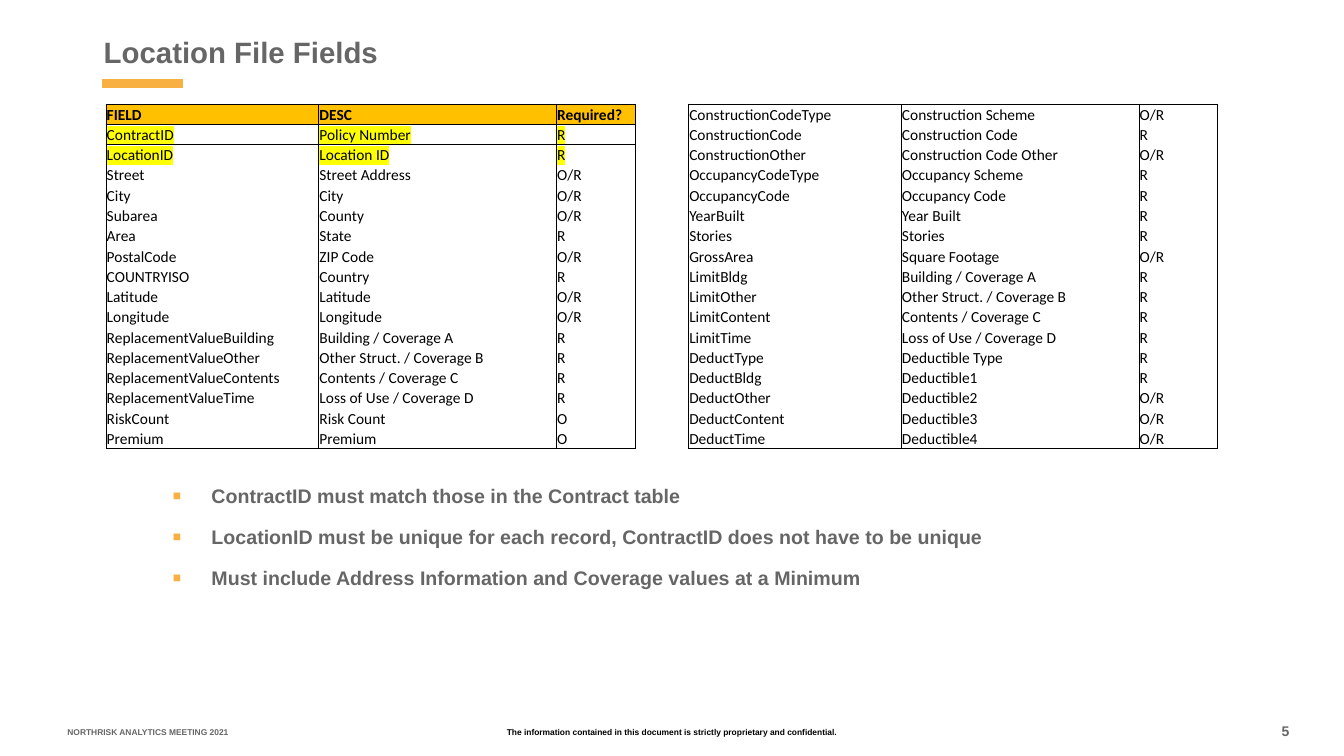
"""Build the slide that lists the location file fields."""
from dataclasses import dataclass

from lxml.etree import SubElement
from pptx import Presentation
from pptx.dml.color import RGBColor as Color
from pptx.enum.shapes import MSO_SHAPE as Shape
from pptx.enum.text import MSO_ANCHOR as Anchor, MSO_AUTO_SIZE as AutoSize, PP_ALIGN as Align
from pptx.oxml import parse_xml
from pptx.oxml.ns import nsdecls, qn
from pptx.util import Cm, Pt

TITLE = "Location File Fields"
HEADER = ("FIELD", "DESC", "Required?")
KEY_FIELDS = ("ContractID", "LocationID")
LOCATION_FIELDS = [
    HEADER,
    ("ContractID", "Policy Number", "R"),
    ("LocationID", "Location ID", "R"),
    ("Street", "Street Address", "O/R"),
    ("City", "City", "O/R"),
    ("Subarea", "County", "O/R"),
    ("Area", "State", "R"),
    ("PostalCode", "ZIP Code", "O/R"),
    ("COUNTRYISO", "Country", "R"),
    ("Latitude", "Latitude", "O/R"),
    ("Longitude", "Longitude", "O/R"),
    ("ReplacementValueBuilding", "Building / Coverage A", "R"),
    ("ReplacementValueOther", "Other Struct. / Coverage B", "R"),
    ("ReplacementValueContents", "Contents / Coverage C", "R"),
    ("ReplacementValueTime", "Loss of Use / Coverage D", "R"),
    ("RiskCount", "Risk Count", "O"),
    ("Premium", "Premium", "O"),
]
BUILDING_FIELDS = [
    ("ConstructionCodeType", "Construction Scheme", "O/R"),
    ("ConstructionCode", "Construction Code", "R"),
    ("ConstructionOther", "Construction Code Other", "O/R"),
    ("OccupancyCodeType", "Occupancy Scheme", "R"),
    ("OccupancyCode", "Occupancy Code", "R"),
    ("YearBuilt", "Year Built", "R"),
    ("Stories", "Stories", "R"),
    ("GrossArea", "Square Footage", "O/R"),
    ("LimitBldg", "Building / Coverage A", "R"),
    ("LimitOther", "Other Struct. / Coverage B", "R"),
    ("LimitContent", "Contents / Coverage C", "R"),
    ("LimitTime", "Loss of Use / Coverage D", "R"),
    ("DeductType", "Deductible Type", "R"),
    ("DeductBldg", "Deductible1", "R"),
    ("DeductOther", "Deductible2", "O/R"),
    ("DeductContent", "Deductible3", "O/R"),
    ("DeductTime", "Deductible4", "O/R"),
]
RULES = [
    "ContractID must match those in the Contract table",
    "LocationID must be unique for each record, ContractID does not have to be unique",
    "Must include Address Information and Coverage values at a Minimum",
]


@dataclass(frozen=True)
class Theme:
    """Colours, fonts and type sizes of the slide."""
    grey: str = "666666"
    black: str = "000000"
    orange: str = "F7B041"
    header: str = "FFC000"
    highlight: str = "FFFF00"
    text_font: str = "Arial"
    table_font: str = "Calibri"
    title_size: int = 21
    rule_size: int = 14
    table_size: int = 11
    number_size: int = 10
    footer_size: int = 6


THEME = Theme()
FOOTERS = [
    ("The information contained in this document is strictly proprietary and confidential.",
     (12.5, 18.19, 8.86, 0.51), THEME.footer_size, THEME.black, Align.CENTER),
    ("5", (32.05, 18.08, 1.8, 0.64), THEME.number_size, THEME.grey, Align.LEFT),
    ("NORTHRISK ANALYTICS MEETING 2021",
     (1.45, 18.19, 9.14, 0.41), THEME.footer_size, THEME.grey, Align.LEFT),
]
TITLE_BOX = (2.36, 0.71, 27.28, 1.17)
BAR_BOX = (2.59, 2.01, 2.01, 0.2)
RULES_BOX = (4.11, 12.07, 20.98, 5.11)
COLUMN_WIDTHS = (5.36, 5.99, 1.98)
TABLE_TOP, TABLE_HEIGHT = 2.62, 8.69
TABLES = [(2.67, LOCATION_FIELDS), (17.35, BUILDING_FIELDS)]
PLAIN_TABLE_STYLE = "{2D5ABB26-0587-4C30-8999-92F81FD0307C}"


def apply(target, values):
    """Set each attribute named in values."""
    for name, value in values.items():
        setattr(target, name, value)


def write(paragraph, text, size, color, font=THEME.text_font, bold=True):
    """Add one formatted run to a paragraph and return it."""
    run = paragraph.add_run()
    run.text = text
    apply(run.font, {"size": Pt(size), "name": font, "bold": bold})
    run.font.color.rgb = Color.from_string(color)
    return run


def add_text_box(slide, box):
    """Add a wrapping text box and return its frame."""
    frame = slide.shapes.add_textbox(*map(Cm, box)).text_frame
    apply(frame, {"word_wrap": True, "auto_size": AutoSize.NONE})
    return frame


def add_title(slide):
    """Place and write the title with the bar below it."""
    title = slide.shapes.title
    apply(title, dict(zip(("left", "top", "width", "height"), map(Cm, TITLE_BOX))))
    apply(title.text_frame, {"vertical_anchor": Anchor.MIDDLE, "auto_size": AutoSize.NONE})
    paragraph = title.text_frame.paragraphs[0]
    paragraph.alignment = Align.LEFT
    write(paragraph, TITLE, THEME.title_size, THEME.grey)
    bar = slide.shapes.add_shape(Shape.RECTANGLE, *map(Cm, BAR_BOX))
    bar.shadow.inherit = False
    bar.fill.solid()
    for paint in (bar.fill.fore_color, bar.line.color):
        paint.rgb = Color.from_string(THEME.orange)
    bar.line.width = Pt(1)


def add_rules(slide):
    """Write the bulleted rules."""
    frame = add_text_box(slide, RULES_BOX)
    for index, rule in enumerate(RULES):
        paragraph = frame.add_paragraph() if index else frame.paragraphs[0]
        properties = paragraph._p.get_or_add_pPr()
        properties.set("marL", str(Cm(0.97)))
        properties.set("indent", str(-Cm(0.97)))
        color = SubElement(properties, qn("a:buClr"))
        SubElement(color, qn("a:srgbClr"), val=THEME.orange)
        SubElement(properties, qn("a:buSzPct"), val="70000")
        SubElement(properties, qn("a:buFont"), typeface=THEME.text_font)
        SubElement(properties, qn("a:buChar"), char="■")
        paragraph.space_before = Pt(12.5 if index else 0)
        write(paragraph, rule, THEME.rule_size, THEME.grey)


def add_borders(cell, sides):
    """Draw thin black lines on the named sides of a cell."""
    properties = cell._tc.get_or_add_tcPr()
    for index, side in enumerate(sides):
        properties.insert(index, parse_xml(
            f'<a:ln{side} {nsdecls("a")} w="6350"><a:solidFill>'
            f'<a:srgbClr val="{THEME.black}"/></a:solidFill></a:ln{side}>'))


def add_field_table(slide, left, rows):
    """Add one table of fields."""
    frame = slide.shapes.add_table(len(rows), len(COLUMN_WIDTHS), Cm(left), Cm(TABLE_TOP),
                                   Cm(sum(COLUMN_WIDTHS)), Cm(TABLE_HEIGHT))
    table = frame.table
    apply(table, {"first_row": False, "horz_banding": False})
    table._tbl.tblPr.find(qn("a:tableStyleId")).text = PLAIN_TABLE_STYLE
    for column, width in zip(table.columns, COLUMN_WIDTHS):
        column.width = Cm(width)
    for row_index, values in enumerate(rows):
        is_header = values == HEADER
        table.rows[row_index].height = Cm(TABLE_HEIGHT / len(rows))
        sides = ["L", "R"]
        if row_index == 0 or rows[row_index - 1] == HEADER:
            sides.append("T")
        if is_header or row_index == len(rows) - 1:
            sides.append("B")
        for cell, text in zip(table.rows[row_index].cells, values):
            apply(cell, {"margin_left": Cm(0.02), "margin_right": Cm(0.02), "margin_top": Cm(0.02),
                         "margin_bottom": 0, "vertical_anchor": Anchor.BOTTOM})
            run = write(cell.text_frame.paragraphs[0], text, THEME.table_size, THEME.black,
                        THEME.table_font, is_header)
            if is_header:
                cell.fill.solid()
                cell.fill.fore_color.rgb = Color.from_string(THEME.header)
            else:
                cell.fill.background()
            if values[0] in KEY_FIELDS:
                run._r.rPr.find(qn("a:solidFill")).addnext(parse_xml(
                    f'<a:highlight {nsdecls("a")}><a:srgbClr val="{THEME.highlight}"/></a:highlight>'))
            add_borders(cell, sides)


def main():
    """Build and save the presentation."""
    presentation = Presentation()
    apply(presentation, {"slide_width": Cm(33.87), "slide_height": Cm(19.05)})
    slide = presentation.slides.add_slide(presentation.slide_layouts.get_by_name("Title Only"))
    for text, box, size, color, alignment in FOOTERS:
        paragraph = add_text_box(slide, box).paragraphs[0]
        paragraph.alignment = alignment
        write(paragraph, text, size, color)
    add_title(slide)
    add_rules(slide)
    for left, rows in TABLES:
        add_field_table(slide, left, rows)
    presentation.save("out.pptx")


if __name__ == "__main__":
    main()
